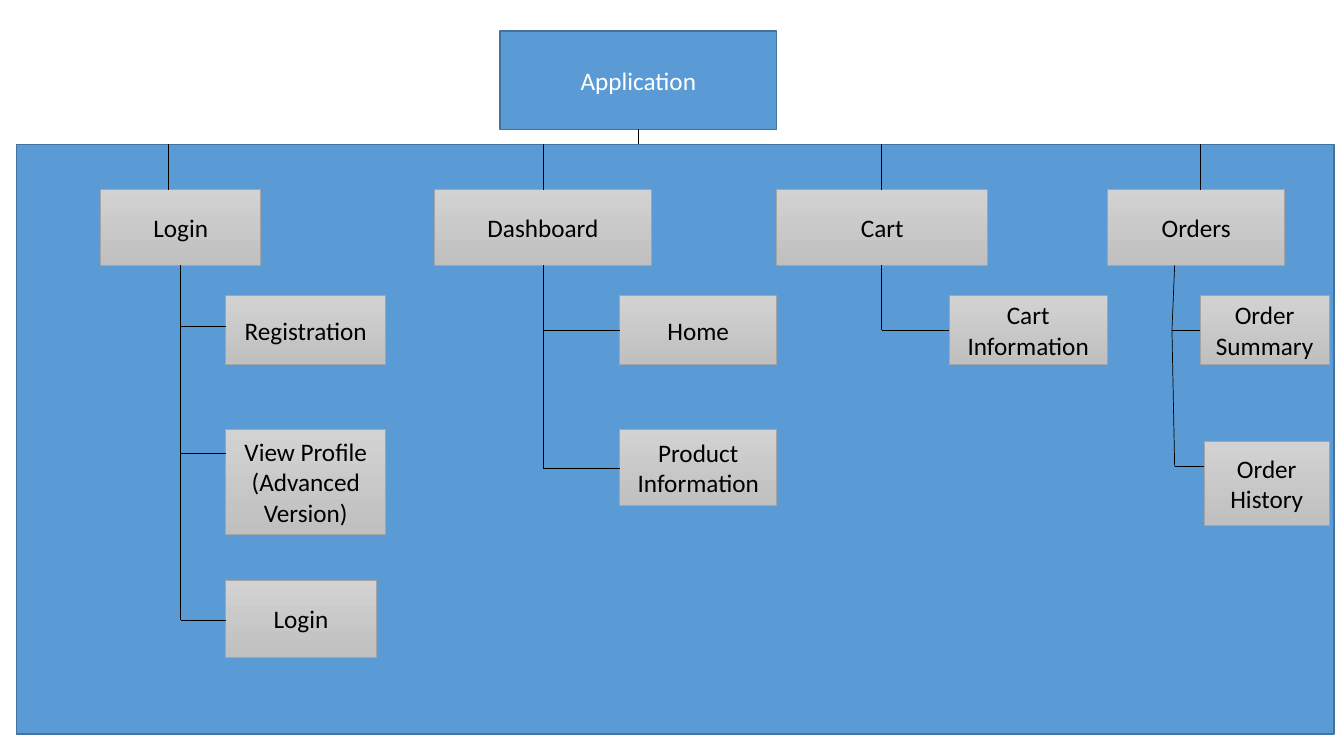
from lxml import etree
from pptx import Presentation
from pptx import util as u
from pptx.dml.color import RGBColor
from pptx.enum import shapes, text
from pptx.oxml.ns import qn

BLUE = RGBColor(0x5B, 0x9B, 0xD5)
BLUE_EDGE = RGBColor(0x43, 0x73, 0x9E)
GREY_TOP = RGBColor(0xD2, 0xD2, 0xD2)
GREY_BOTTOM = RGBColor(0xC0, 0xC0, 0xC0)
GREY_EDGE = RGBColor(0xA5, 0xA5, 0xA5)
BLACK = RGBColor(0, 0, 0)
WHITE = RGBColor(0xFF, 0xFF, 0xFF)


def write(shape, words, size=18, color=BLACK, font="Calibri"):
    frame = shape.text_frame
    frame.word_wrap = True
    frame.auto_size = text.MSO_AUTO_SIZE.NONE
    frame.vertical_anchor = text.MSO_ANCHOR.MIDDLE
    frame.text = words
    for paragraph in frame.paragraphs:
        paragraph.alignment = text.PP_ALIGN.CENTER
        paragraph.font.size = u.Pt(size)
        paragraph.font.name = font
        paragraph.font.color.rgb = color


class Chart:
    def __init__(self, deck):
        self.width, self.height = deck.slide_width, deck.slide_height
        self.slide = deck.slides.add_slide(deck.slide_layouts[5])

    def x(self, percent):
        return round(self.width * percent / 100)

    def y(self, percent):
        return round(self.height * percent / 100)

    def place(self, left, top, width, height):
        return self.x(left), self.y(top), self.x(width), self.y(height)

    def paint_blue(self, shape):
        shape.fill.solid()
        shape.fill.fore_color.rgb = BLUE
        shape.line.color.rgb = BLUE_EDGE
        shape.line.width = u.Pt(1)

    def root(self, words, *area):
        title = self.slide.shapes.title
        title.left, title.top, title.width, title.height = self.place(*area)
        self.paint_blue(title)
        write(title, words, color=WHITE)

    def rectangle(self, *area):
        shape = self.slide.shapes.add_shape(
            shapes.MSO_SHAPE.RECTANGLE, *self.place(*area))
        shape.shadow.inherit = False
        return shape

    def panel(self, *area):
        self.paint_blue(self.rectangle(*area))

    def node(self, words, *area):
        box = self.rectangle(*area)
        box.fill.gradient()
        box.fill.gradient_angle = 270
        for stop, color in zip(box.fill.gradient_stops, (GREY_TOP, GREY_BOTTOM)):
            stop.color.rgb = color
        box.line.color.rgb = GREY_EDGE
        box.line.width = u.Pt(0.5)
        write(box, words)

    def link(self, x1, y1, x2, y2):
        line = self.slide.shapes.add_connector(
            shapes.MSO_CONNECTOR.STRAIGHT,
            self.x(x1), self.y(y1), self.x(x2), self.y(y2))
        line.line.color.rgb = BLACK
        line.line.width = u.Pt(0.5)
        etree.SubElement(line._element.spPr, qn("a:effectLst"))


PANEL_TOP, BRANCH_TOP, BRANCH_HEIGHT = 19.1, 25.1, 10
BRANCH_BOTTOM = BRANCH_TOP + BRANCH_HEIGHT
ROOT_TOP, ROOT_HEIGHT = 4.1, 13
FIRST_TOP, FIRST_HEIGHT = 39.1, 9.1
SECOND_TOP = 56.8

# name, left, width, drop x, trunk x, pages (name, left, top, width, height, joint x, joint y)
BRANCHES = [
    ("Login", 7.5, 11.9, 12.5, 13.45, [
        ("Registration", 16.8, FIRST_TOP, 11.9, FIRST_HEIGHT, 13.45, 43.2),
        ("View Profile\n(Advanced Version)", 16.8, SECOND_TOP, 11.9, 13.9, 13.45, 60),
        ("Login", 16.8, 76.8, 11.2, 10.1, 13.45, 82)]),
    ("Dashboard", 32.3, 16.2, 40.4, 40.4, [
        ("Home", 46.1, FIRST_TOP, 11.7, FIRST_HEIGHT, 40.4, 43.7),
        ("Product Information", 46.1, SECOND_TOP, 11.7, 10.1, 40.4, 62)]),
    ("Cart", 57.8, 15.7, 65.6, 65.6, [
        ("Cart Information", 70.6, FIRST_TOP, 11.8, FIRST_HEIGHT, 65.6, 43.7)]),
    ("Orders", 82.4, 13.2, 89.3, 87.4, [
        ("Order Summary", 89.3, FIRST_TOP, 9.6, FIRST_HEIGHT, 87.2, 43.7),
        ("Order History", 89.6, 58.4, 9.3, 11.1, 87.4, 61.7)]),
]

deck = Presentation()
deck.slide_width, deck.slide_height = u.Inches(13.33), u.Inches(7.5)
sitemap = Chart(deck)
sitemap.root("Application", 37.2, ROOT_TOP, 20.6, ROOT_HEIGHT)
sitemap.panel(1.25, PANEL_TOP, 98, 78)
sitemap.link(47.5, ROOT_TOP + ROOT_HEIGHT, 47.5, PANEL_TOP)

for branch, left, width, drop, trunk, pages in BRANCHES:
    sitemap.node(branch, left, BRANCH_TOP, width, BRANCH_HEIGHT)
    sitemap.link(drop, PANEL_TOP, drop, BRANCH_TOP)
    trunk_x, trunk_y = trunk, BRANCH_BOTTOM
    for page, page_left, top, page_width, height, joint_x, joint_y in pages:
        sitemap.node(page, page_left, top, page_width, height)
        sitemap.link(trunk_x, trunk_y, joint_x, joint_y)
        sitemap.link(joint_x, joint_y, page_left, joint_y)
        trunk_x, trunk_y = joint_x, joint_y

deck.save("out.pptx")
